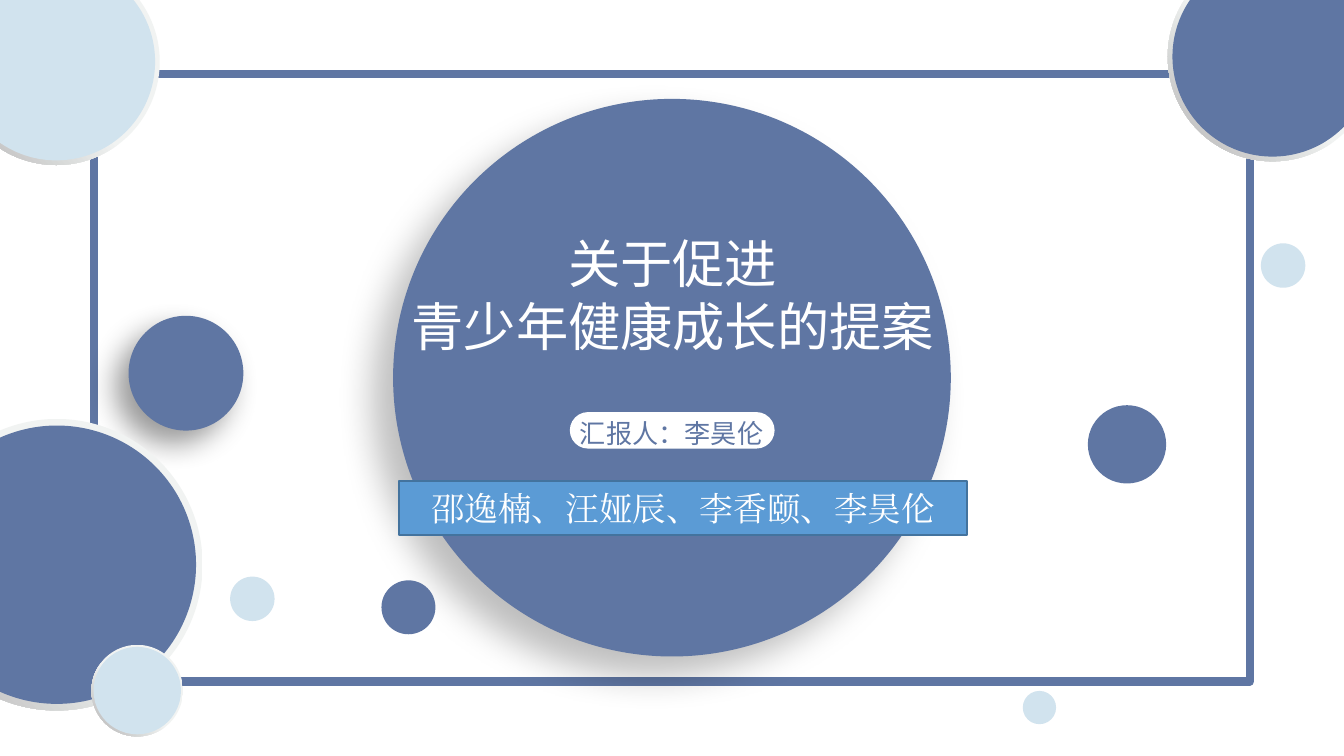
from lxml.etree import SubElement
from pptx import Presentation
from pptx.dml.color import RGBColor
from pptx.enum.shapes import MSO_SHAPE
from pptx.enum.text import MSO_ANCHOR, MSO_AUTO_SIZE, PP_ALIGN
from pptx.oxml.ns import qn
from pptx.util import Cm, Pt

COLORS = {
    "blue": "5F76A3",
    "pale": "D1E3EE",
    "white": "FFFFFF",
    "strip": "5B9BD5",
    "strip_edge": "43739E",
    "ring_light": "F1F3F2",
    "ring_dark": "B2B2B2",
    "shadow": "000000",
}


class SlideBuilder:
    def __init__(self, slide):
        self.slide = slide

    def color(self, name):
        return RGBColor.from_string(COLORS[name])

    def add_color(self, parent, name):
        return SubElement(parent, qn("a:srgbClr"), val=COLORS[name])

    def shape(self, kind, left, top, width, height, fill, line=None, line_width=0, parent=None):
        shapes = (parent or self.slide).shapes
        shape = shapes.add_shape(kind, Cm(left), Cm(top), Cm(width), Cm(height))
        shape.shadow.inherit = False
        shape.fill.solid()
        shape.fill.fore_color.rgb = self.color(fill)
        if line:
            shape.line.color.rgb = self.color(line)
            shape.line.width = Pt(line_width)
        else:
            shape.line.fill.background()
        return shape

    def circle(self, left, top, size, fill, parent=None):
        return self.shape(MSO_SHAPE.OVAL, left, top, size, size, fill, parent=parent)

    def cast_shadow(self, shape, opacity, blur, distance):
        effects = shape._element.spPr.find(qn("a:effectLst"))
        shadow = SubElement(effects, qn("a:outerShdw"), blurRad=str(Pt(blur)),
                            dist=str(Pt(distance)), dir="8100000", algn="tr", rotWithShape="0")
        SubElement(self.add_color(shadow, "shadow"), qn("a:alpha"), val=str(opacity * 1000))

    def ringed_circle(self, group, left, top, size, fill):
        ring = self.shape(MSO_SHAPE.DONUT, left, top, size, size, "ring_light", parent=group)
        ring.adjustments[0] = 0.05
        ring.fill.gradient()
        gradient = ring._element.spPr.find(qn("a:gradFill"))
        gradient.clear()
        stops = SubElement(gradient, qn("a:gsLst"))
        for position, name in ((0, "ring_light"), (55, "ring_light"), (100, "ring_dark")):
            self.add_color(SubElement(stops, qn("a:gs"), pos=str(position * 1000)), name)
        SubElement(gradient, qn("a:lin"), ang="8100000", scaled="0")
        inset = size * 0.0225
        self.circle(left + inset, top + inset, size - 2 * inset, fill, group)

    def set_text(self, shape, lines, size, font, color, wrap=True):
        frame = shape.text_frame
        frame.text = "\n".join(lines)
        frame.word_wrap = wrap
        frame.auto_size = MSO_AUTO_SIZE.SHAPE_TO_FIT_TEXT
        frame.vertical_anchor = MSO_ANCHOR.MIDDLE
        for paragraph in frame.paragraphs:
            paragraph.alignment = PP_ALIGN.CENTER
            paragraph.font.size = Pt(size)
            paragraph.font.name = font
            paragraph.font.color.rgb = self.color(color)
            properties = paragraph._p.pPr.find(qn("a:defRPr"))
            SubElement(properties, qn("a:ea"), typeface=font)

    def title(self, left, top, width, height, lines):
        title = self.slide.shapes.title
        title.left, title.top, title.width, title.height = map(Cm, (left, top, width, height))
        self.set_text(title, lines, 28, "Noto Sans CJK SC", "white", wrap=False)
        title._element.getparent().append(title._element)

    def label(self, group, left, top, width, height, text):
        box = group.shapes.add_textbox(Cm(left), Cm(top), Cm(width), Cm(height))
        self.set_text(box, [text], 14, "Arial", "blue")

    def group(self):
        return self.slide.shapes.add_group_shape()


def main():
    presentation = Presentation()
    presentation.slide_width, presentation.slide_height = Cm(25.4), Cm(14.29)
    builder = SlideBuilder(presentation.slides.add_slide(presentation.slide_layouts[5]))

    builder.circle(19.33, 13.06, 0.63, "pale")
    builder.circle(23.83, 4.6, 0.84, "pale")
    builder.shape(MSO_SHAPE.RECTANGLE, 1.78, 1.4, 21.84, 11.48, "white", "blue", 4.5)

    main_circle = builder.circle(7.43, 1.87, 10.54, "blue")
    builder.cast_shadow(main_circle, 25, 20, 15)
    side_circle = builder.circle(2.43, 5.97, 2.17, "blue")
    builder.cast_shadow(side_circle, 40, 16, 10)
    builder.circle(4.35, 10.9, 0.84, "pale")
    builder.circle(20.56, 7.66, 1.48, "blue")

    builder.title(7.47, 4.24, 10.49, 2.64, ["关于促进", "青少年健康成长的提案"])

    reporter = builder.group()
    pill = builder.shape(MSO_SHAPE.ROUNDED_RECTANGLE, 10.77, 7.79, 3.87, 0.69, "white",
                         parent=reporter)
    pill.adjustments[0] = 0.5
    builder.label(reporter, 10.69, 7.75, 4.01, 0.86, "汇报人：李昊伦")

    builder.ringed_circle(builder.group(), -0.89, -0.79, 3.91, "pale")
    builder.ringed_circle(builder.group(), 22.07, -0.91, 3.96, "blue")
    builder.circle(7.21, 10.97, 1.02, "blue")
    lower_left = builder.group()
    builder.ringed_circle(lower_left, -1.68, 7.92, 5.51, "blue")
    builder.ringed_circle(lower_left, 1.73, 12.19, 1.73, "pale")

    strip = builder.shape(MSO_SHAPE.RECTANGLE, 7.54, 9.09, 10.74, 1.02, "strip", "strip_edge", 1)
    builder.set_text(strip, ["邵逸楠、汪娅辰、李香颐、李昊伦"], 18, "Times New Roman", "white")

    presentation.save("out.pptx")


if __name__ == "__main__":
    main()
